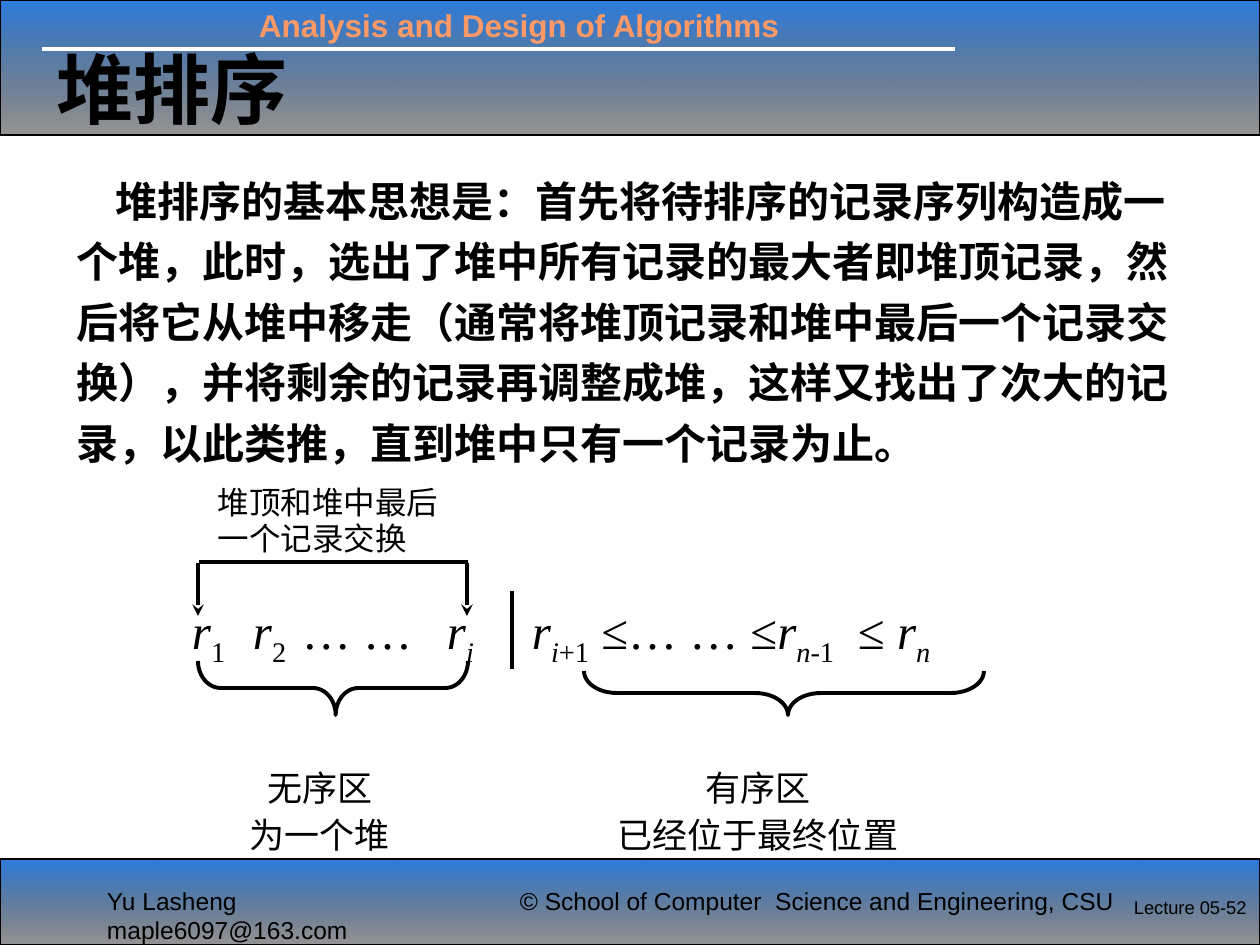
from lxml import etree
from pptx import Presentation, util as u
from pptx.dml.color import RGBColor
from pptx.enum import shapes, text
from pptx.oxml.ns import qn

PX = 914400 // 126
BLACK = RGBColor(0, 0, 0)
WHITE = RGBColor(255, 255, 255)
BLUE = RGBColor(0x0E, 0x6B, 0xDC)
ORANGE = RGBColor(0xFF, 0x99, 0x66)
SANS, CJK, SERIF = "Arial", "Noto Sans CJK SC", "Times New Roman"

prs = Presentation()
prs.slide_width, prs.slide_height = 1260 * PX, 945 * PX
s = prs.slides.add_slide(prs.slide_layouts[6])


def add_box(x, y, w, h, pad_x=13, pad_y=6):
    sp = s.shapes.add_textbox(x * PX, y * PX, w * PX, h * PX)
    tf = sp.text_frame
    tf.word_wrap = True
    tf.margin_left = tf.margin_right = pad_x * PX
    tf.margin_top = tf.margin_bottom = pad_y * PX
    return tf


def add_run(p, words, size, font, color=BLACK, bold=False):
    r = p.add_run()
    r.text = words
    r.font.size = u.Pt(size)
    r.font.name = font
    r.font.bold = bold
    r.font.color.rgb = color
    etree.SubElement(r.font._element, qn("a:ea"), typeface=CJK)
    return r


for y, h in ((0, 135), (859, 86)):
    sp = s.shapes.add_shape(shapes.MSO_SHAPE.RECTANGLE, 0, y * PX, 1260 * PX, h * PX)
    sp.shadow.inherit = False
    sp.line.color.rgb = BLACK
    sp.line.width = u.Pt(0.75)
    sp.fill.gradient()
    sp.fill.gradient_angle = 270
    for stop, position, color in zip(sp.fill.gradient_stops, (0, 1), (BLUE, BLACK)):
        stop.position = position
        stop.color.rgb = color
    for clr, alpha in zip(sp._element.spPr.find(qn("a:gradFill")).iter(qn("a:srgbClr")), (88000, 41000)):
        etree.SubElement(clr, qn("a:alpha"), val=str(alpha))

for x1, y1, x2, y2, color, arrow in (
    (42, 49, 955, 49, WHITE, False),
    (512, 591, 512, 669, BLACK, False),
    (199, 562, 468, 562, BLACK, False),
    (467, 563, 467, 616, BLACK, True),
    (198, 563, 198, 616, BLACK, True),
):
    c = s.shapes.add_connector(shapes.MSO_CONNECTOR.STRAIGHT, x1 * PX, y1 * PX, x2 * PX, y2 * PX)
    c.line.color.rgb = color
    c.line.width = u.Pt(2.25)
    if arrow:
        etree.SubElement(c.line._get_or_add_ln(), qn("a:tailEnd"), type="stealth")
    etree.SubElement(c._element.spPr, qn("a:effectLst"))

for x, y, w, h, curl in ((762, 493, 44, 400, 0.75), (306, 553, 54, 270, 0.42)):
    sp = s.shapes.add_shape(shapes.MSO_SHAPE.LEFT_BRACE, x * PX, y * PX, w * PX, h * PX)
    sp.rotation = 270
    sp.adjustments[0], sp.adjustments[1] = curl, 0.51
    sp.shadow.inherit = False
    sp.fill.background()
    sp.line.color.rgb = BLACK
    sp.line.width = u.Pt(2.25)

for x, y, w, h, words, size, font, color, bold in (
    (246, 0, 630, 50, "Analysis and Design of Algorithms", 18, SANS, ORANGE, True),
    (44, 35, 893, 105, "堆排序", 44, CJK, BLACK, True),
    (507, 880, 645, 43, "© School of Computer  Science and Engineering, CSU", 14, SANS, BLACK, False),
    (1121, 890, 139, 43, "Lecture 05-52", 10.5, SANS, BLACK, False),
):
    add_run(add_box(x, y, w, h).paragraphs[0], words, size, font, color, bold)

p = add_box(64, 159, 1124, 315).paragraphs[0]
p._p.get_or_add_pPr().set("indent", str(39 * PX))
p.line_spacing = u.Pt(34.6)
add_run(p, "堆排序的基本思想是：首先将待排序的记录序列构造成一个堆，此时，选出了堆中所有记录的最大者即堆顶记录，"
        "然后将它从堆中移走（通常将堆顶记录和堆中最后一个记录交换），并将剩余的记录再调整成堆，"
        "这样又找出了次大的记录，以此类推，直到堆中只有一个记录为止。", 24, CJK, bold=True)

author = add_box(94, 880, 404, 43).paragraphs[0]
formula = add_box(179, 601, 940, 70, pad_y=0).paragraphs[0]
for p, stops in ((author, (143,)), (formula, (61, 110, 255, 340, 666))):
    tabs = etree.SubElement(p._p.get_or_add_pPr(), qn("a:tabLst"))
    for stop in stops:
        etree.SubElement(tabs, qn("a:tab"), pos=str(stop * PX), algn="l")

add_run(author, "Yu Lasheng\tmaple6097@163.com", 14, SANS)

for words, italic, sub in (
    ("r", True, False), ("1", False, True),
    ("\tr", True, False), ("2", False, True),
    ("\t… …", False, False),
    ("\tr", True, False), ("i", True, True),
    ("\tr", True, False), ("i", True, True), ("+1", False, True),
    (" ≤… … ≤", False, False),
    ("r", True, False), ("n", True, True), ("-1", False, True),
    ("\t≤ ", False, False),
    ("r", True, False), ("n", True, True),
):
    r = add_run(formula, words, 28, SERIF)
    r.font.italic = italic
    if sub:
        r.font._element.set("baseline", "-25000")

LEFT, CENTER = text.PP_ALIGN.LEFT, text.PP_ALIGN.CENTER
for x, y, w, h, lines, size, pitch, align in (
    (218, 485, 239, 72, ("堆顶和堆中最后", "一个记录交换"), 18, 20.5, LEFT),
    (219, 763, 202, 92, ("无序区", "为一个堆"), 20, 26.3, CENTER),
    (595, 763, 326, 92, ("有序区", "已经位于最终位置"), 20, 26.3, CENTER),
):
    tf = add_box(x, y, w, h, 0, 0)
    for i, words in enumerate(lines):
        p = tf.add_paragraph() if i else tf.paragraphs[0]
        p.alignment = align
        p.line_spacing = u.Pt(pitch)
        add_run(p, words, size, SERIF)

prs.save("out.pptx")
